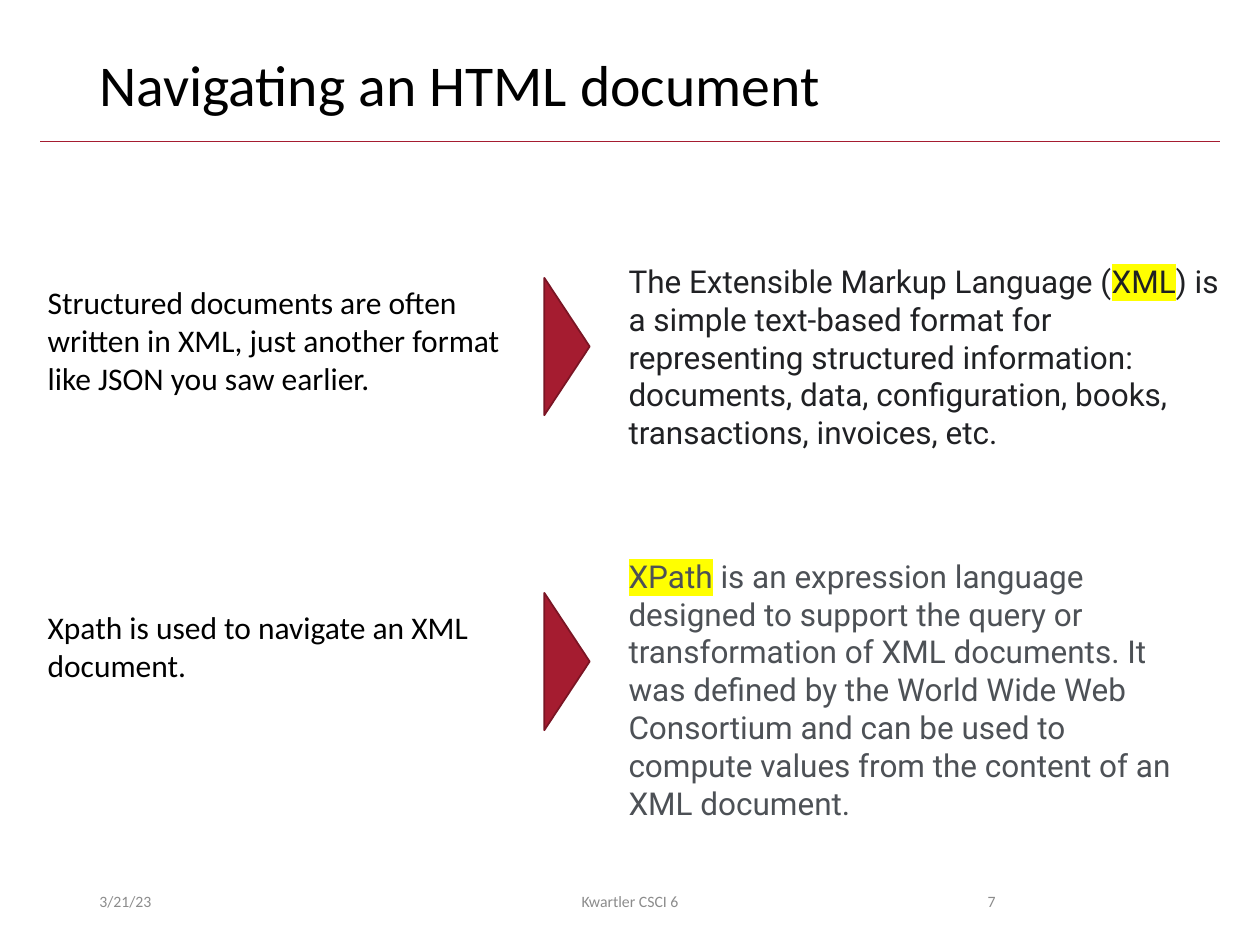
from collections import namedtuple
from dataclasses import dataclass

from lxml import etree
from pptx import Presentation
from pptx.dml.color import RGBColor
from pptx.enum.shapes import MSO_CONNECTOR, MSO_SHAPE
from pptx.enum.text import MSO_ANCHOR, PP_ALIGN
from pptx.oxml.ns import qn
from pptx.util import Inches, Pt

STRAIGHT = MSO_CONNECTOR.STRAIGHT
TRIANGLE = MSO_SHAPE.ISOSCELES_TRIANGLE
TOP, MIDDLE = MSO_ANCHOR.TOP, MSO_ANCHOR.MIDDLE
LEFT, CENTER, RIGHT = PP_ALIGN.LEFT, PP_ALIGN.CENTER, PP_ALIGN.RIGHT

Box = namedtuple("Box", "left top width height")


@dataclass(frozen=True)
class Theme:
    crimson: str = "A51C30"
    crimson_dark: str = "7A1524"
    black: str = "000000"
    footer_grey: str = "8C8C8C"
    highlight: str = "FFFF00"
    font: str = "Calibri"
    quote_font: str = "Roboto"
    title_size: int = 33
    body_size: int = 18
    footer_size: int = 9


THEME = Theme()
SLIDE_WIDTH, SLIDE_HEIGHT = 10, 7.5
ROW_HEIGHT = SLIDE_HEIGHT / 3

# Text tops are measured from the top of each row; the marked term is highlighted.
ROWS = [
    {
        "statement": "Structured documents are often written in XML, just another "
                     "format like JSON you saw earlier.",
        "statement_box": (0.7, 1.01),
        "quote": [("The Extensible Markup Language (", False), ("XML", True),
                  (") is a simple text-based format for representing structured "
                   "information: documents, data, configuration, books, "
                   "transactions, invoices, etc.", False)],
        "quote_box": (0.53, 5, 1.62),
        "quote_color": "202124",
    },
    {
        "statement": "Xpath is used to navigate an XML document.",
        "statement_box": (0.78, 0.71),
        "quote": [("XPath", True),
                  (" is an expression language designed to support the query or "
                   "transformation of XML documents. It was defined by the World "
                   "Wide Web Consortium and can be used to compute values from "
                   "the content of an XML document.", False)],
        "quote_box": (0.37, 4.56, 2.22),
        "quote_color": "4D5156",
    },
]


def color(value):
    return RGBColor.from_string(value)


def highlight_run(run):
    """Mark a run whose font colour is already set."""
    fill = run.font.fill._xPr.find(qn("a:solidFill"))
    mark = etree.Element(qn("a:highlight"))
    etree.SubElement(mark, qn("a:srgbClr"), val=THEME.highlight)
    fill.addnext(mark)


def add_text(slide, box, parts, size, text_color, font=THEME.font,
             anchor=TOP, align=LEFT, line_spacing=None):
    """Add one paragraph made of (text, is_highlighted) parts."""
    shape = slide.shapes.add_textbox(*map(Inches, box))
    frame = shape.text_frame
    frame.word_wrap = True
    frame.vertical_anchor = anchor
    paragraph = frame.paragraphs[0]
    paragraph.alignment = align
    paragraph.line_spacing = line_spacing
    for text, is_highlighted in parts:
        run = paragraph.add_run()
        run.text = text
        run.font.name = font
        run.font.size = Pt(size)
        run.font.color.rgb = color(text_color)
        if is_highlighted:
            highlight_run(run)


def add_header(slide, box):
    bottom = Inches(box.top + box.height)
    rule = slide.shapes.add_connector(
        STRAIGHT, Inches(box.left), bottom, Inches(box.left + box.width), bottom)
    rule.line.color.rgb = color(THEME.crimson)
    rule.line.width = Pt(0.5)
    etree.SubElement(rule._element.spPr, qn("a:effectLst"))
    title_box = Box(box.left + 0.37, box.top + 0.4, box.width - 0.74, 0.65)
    add_text(slide, title_box, [("Navigating an HTML document", False)],
             THEME.title_size, THEME.black, line_spacing=0.9)


def add_pointer(slide, center_x, center_y):
    """Add a triangle turned to point right, centred on the given point."""
    base, depth = 1.09, 0.36
    shape = slide.shapes.add_shape(
        TRIANGLE, Inches(center_x - base / 2), Inches(center_y - depth / 2),
        Inches(base), Inches(depth))
    shape.rotation = 90
    shape.shadow.inherit = False
    shape.fill.solid()
    shape.fill.fore_color.rgb = color(THEME.crimson)
    shape.line.color.rgb = color(THEME.crimson_dark)
    shape.line.width = Pt(1)


def add_row(slide, box, row):
    top, height = row["statement_box"]
    add_text(slide, Box(box.left, box.top + top, 3.83, height),
             [(row["statement"], False)], THEME.body_size, THEME.black)
    add_pointer(slide, box.left + 4.22, box.top + box.height / 2)
    top, width, height = row["quote_box"]
    add_text(slide, Box(box.left + 4.61, box.top + top, width, height),
             row["quote"], THEME.body_size, row["quote_color"], THEME.quote_font)


def add_footer(slide, box):
    fields = [("3/21/23", 0, 2.25, LEFT),
              ("Kwartler CSCI 6", 2.62, 3.38, CENTER),
              ("7", 6.37, 0.94, RIGHT)]
    for text, offset, width, align in fields:
        add_text(slide, Box(box.left + offset, box.top, width, box.height),
                 [(text, False)], THEME.footer_size, THEME.footer_grey,
                 anchor=MIDDLE, align=align)


def main():
    presentation = Presentation()
    presentation.slide_width = Inches(SLIDE_WIDTH)
    presentation.slide_height = Inches(SLIDE_HEIGHT)
    slide = presentation.slides.add_slide(presentation.slide_layouts[6])
    add_header(slide, Box(0.32, 0, 9.36, 1.12))
    for index, row in enumerate(ROWS):
        add_row(slide, Box(0.28, 1.5 + index * ROW_HEIGHT, 9.6, ROW_HEIGHT), row)
    add_footer(slide, Box(0.69, 6.95, 7.31, 0.4))
    presentation.save("out.pptx")


if __name__ == "__main__":
    main()
